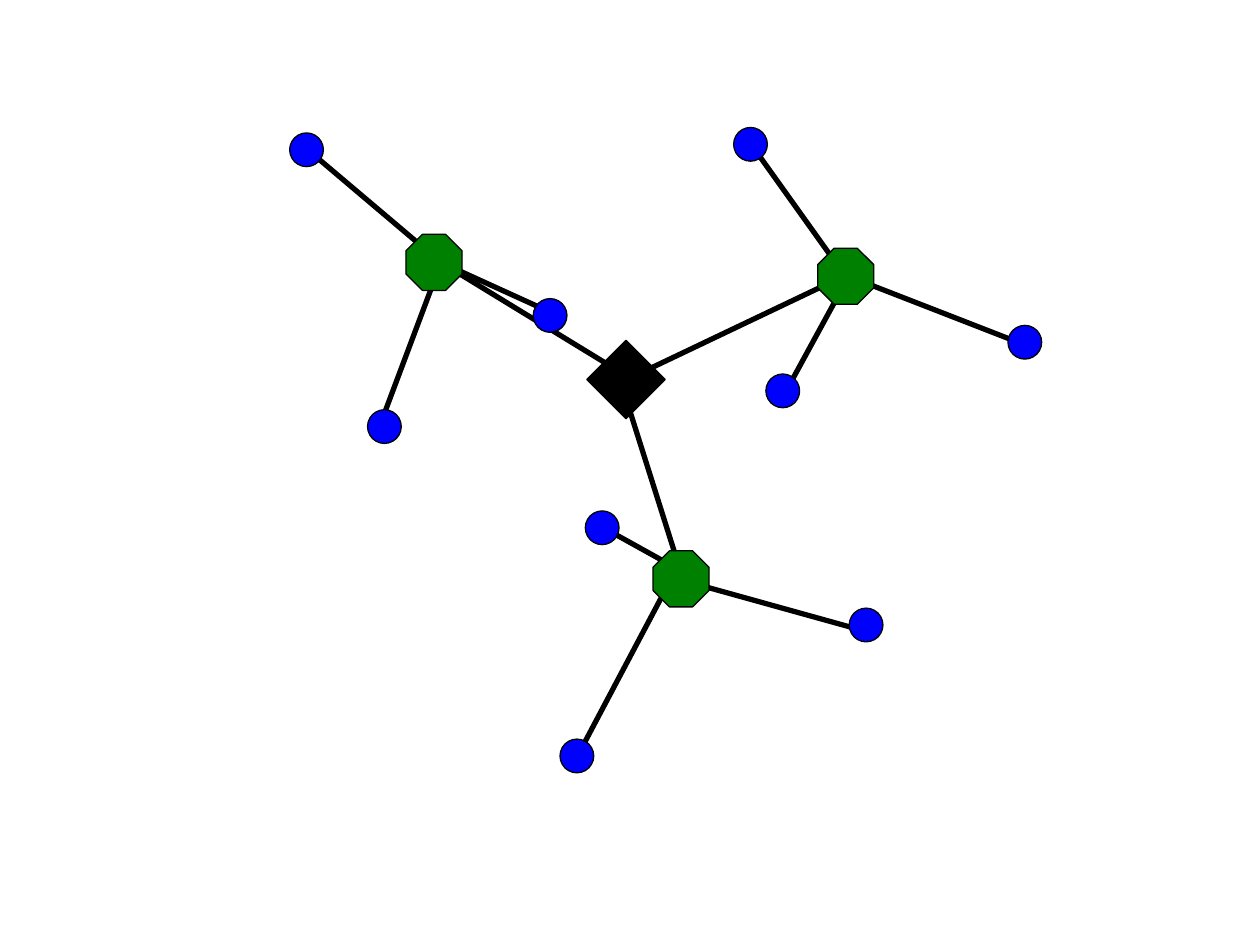
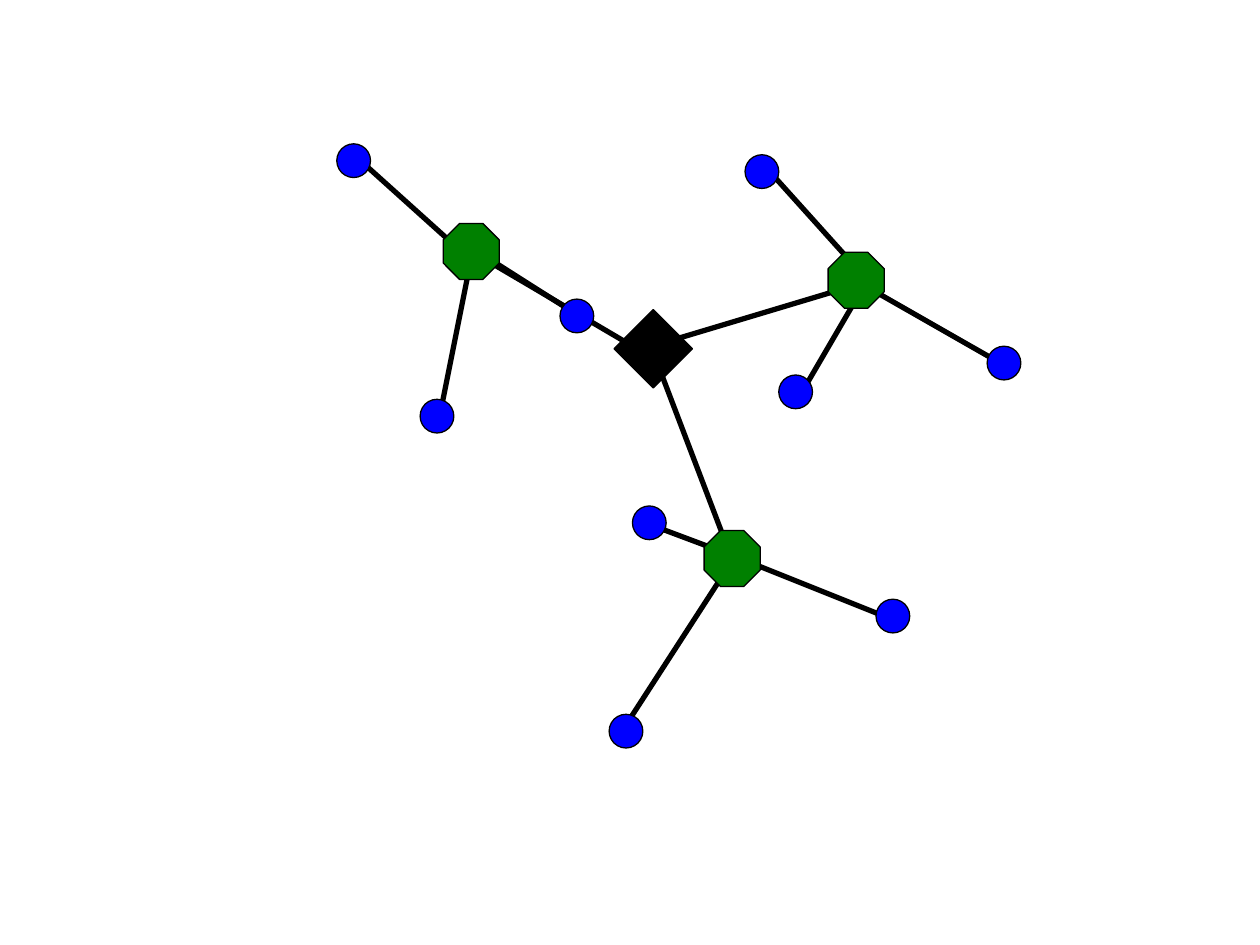
from dataclasses import dataclass

from lxml.etree import SubElement
from pptx import Presentation
from pptx.dml.color import RGBColor
from pptx.enum.shapes import MSO_CONNECTOR, MSO_SHAPE
from pptx.oxml.ns import qn
from pptx.util import Cm, Pt

SLIDE_WIDTH = 25.4
SLIDE_HEIGHT = 19.05
GRID = 2.54 / 12


@dataclass(frozen=True)
class Theme:
    ink: RGBColor = RGBColor(0, 0, 0)
    switch: RGBColor = RGBColor(0, 128, 0)
    leaf: RGBColor = RGBColor(0, 0, 255)
    outline: float = 0.75
    link: float = 3


@dataclass(frozen=True)
class NodeStyle:
    preset: MSO_SHAPE
    size: float
    fill: RGBColor
    corner: float | None = None


@dataclass(frozen=True)
class Network:
    hub: tuple
    switches: list
    leaves: list
    links: list
    thin_links: list


THEME = Theme()
HUB = NodeStyle(MSO_SHAPE.DIAMOND, 1.58, THEME.ink)
SWITCH = NodeStyle(MSO_SHAPE.OCTAGON, 1.13, THEME.switch, 0.293)
LEAF = NodeStyle(MSO_SHAPE.FLOWCHART_CONNECTOR, 0.68, THEME.leaf)

# Node centres are in centimetres, link ends in grid steps.
NETWORKS = [
    Network(
        hub=(12.62, 7.65),
        switches=[(13.73, 11.67), (17.05, 5.57), (8.75, 5.29)],
        leaves=[
            (12.14, 10.64), (11.63, 15.24), (17.46, 12.6),
            (15.13, 2.91), (15.78, 7.88), (20.66, 6.9),
            (6.18, 3.02), (11.09, 6.36), (7.75, 8.6),
        ],
        links=[
            (71, 13, 81, 27), (81, 26, 75, 37), (80, 26, 98, 33),
            (57, 50, 66, 55), (64, 55, 55, 72), (64, 55, 82, 60),
            (29, 14, 42, 25), (42, 25, 53, 30), (42, 25, 36, 41),
            (42, 25, 60, 36), (81, 26, 60, 36), (65, 55, 59, 36),
        ],
        thin_links=[(80, 26, 85, 28)],
    ),
    Network(
        hub=(13.17, 7.03),
        switches=[(14.76, 11.26), (17.26, 5.65), (9.5, 5.07)],
        leaves=[
            (13.09, 10.54), (12.62, 14.74), (18, 12.42),
            (15.36, 3.46), (16.04, 7.9), (20.24, 7.32),
            (7.13, 3.24), (11.63, 6.37), (8.81, 8.39),
        ],
        links=[
            (73, 16, 82, 26), (83, 26, 76, 38), (82, 27, 96, 35),
            (62, 50, 70, 53), (70, 53, 59, 70), (70, 53, 85, 59),
            (34, 15, 44, 24), (44, 23, 55, 30), (45, 24, 42, 39),
            (45, 24, 62, 34), (82, 27, 62, 33), (70, 54, 62, 33),
        ],
        thin_links=[],
    ),
]


def add_link(slide, left, top, ends, width):
    begin_x, begin_y, end_x, end_y = (step * GRID for step in ends)
    connector = slide.shapes.add_connector(
        MSO_CONNECTOR.STRAIGHT,
        Cm(left + begin_x), Cm(top + begin_y), Cm(left + end_x), Cm(top + end_y),
    )
    connector.line.color.rgb = THEME.ink
    connector.line.width = Pt(width)
    SubElement(connector._element.spPr, qn("a:effectLst"))


def add_node(slide, left, top, centre, style):
    x, y = centre
    shape = slide.shapes.add_shape(
        style.preset,
        Cm(left + x - style.size / 2), Cm(top + y - style.size / 2),
        Cm(style.size), Cm(style.size),
    )
    if style.corner is not None:
        shape.adjustments[0] = style.corner
    shape.shadow.inherit = False
    shape.fill.solid()
    shape.fill.fore_color.rgb = style.fill
    shape.line.color.rgb = THEME.ink
    shape.line.width = Pt(THEME.outline)


def draw_network(slide, left, top, network):
    for links, width in (
        (network.links, THEME.link),
        (network.thin_links, THEME.outline),
    ):
        for ends in links:
            add_link(slide, left, top, ends, width)
    for centres, style in (
        ([network.hub], HUB),
        (network.switches, SWITCH),
        (network.leaves, LEAF),
    ):
        for centre in centres:
            add_node(slide, left, top, centre, style)


def main():
    presentation = Presentation()
    presentation.slide_width = Cm(SLIDE_WIDTH)
    presentation.slide_height = Cm(SLIDE_HEIGHT)
    blank_layout = presentation.slide_layouts[6]
    for network in NETWORKS:
        slide = presentation.slides.add_slide(blank_layout)
        draw_network(slide, 0, 0, network)
    presentation.save("out.pptx")


if __name__ == "__main__":
    main()
